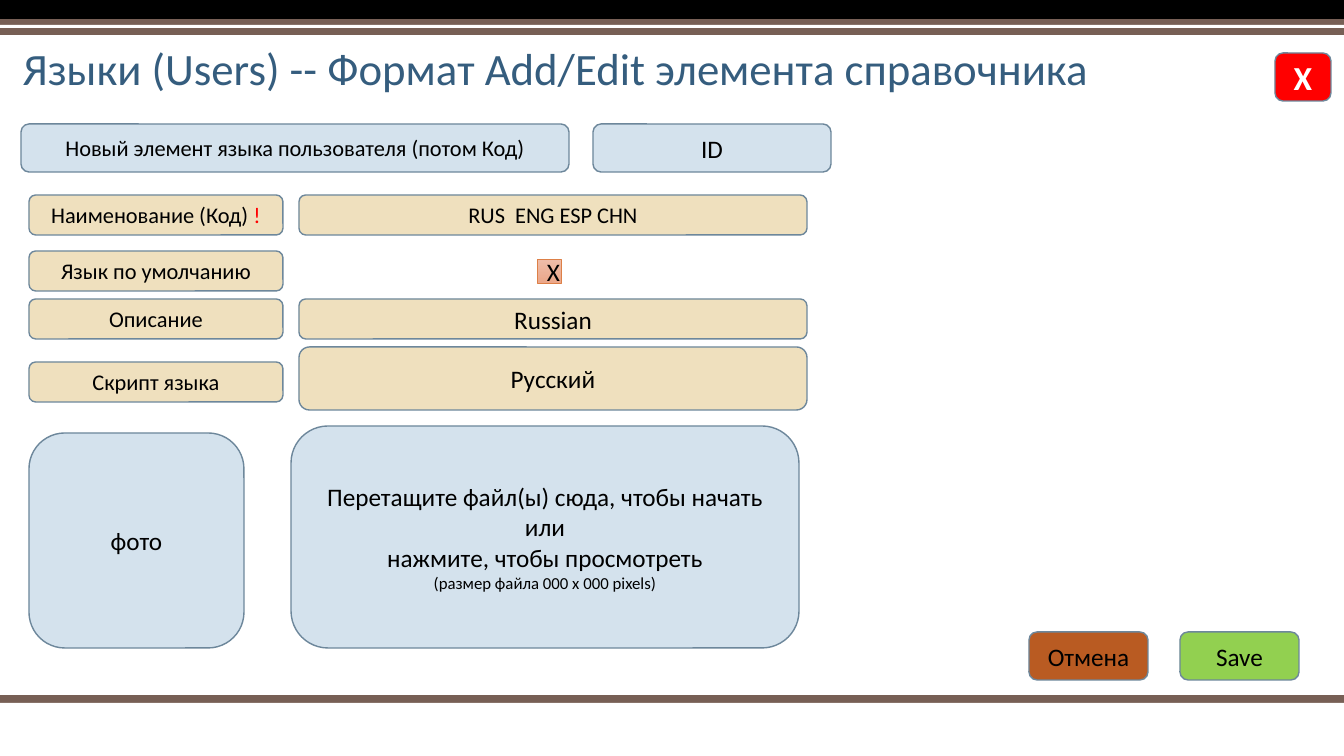
"""Build the slide with the add/edit form of the user languages directory."""
from pptx import Presentation
from pptx import util as u
from pptx.dml.color import RGBColor
from pptx.enum import shapes, text

PX = 12192000 / 1344
C = {"brown": "775F55", "white": "FFFFFF", "black": "000000", "title": "355D7E",
     "blue": "D4E2ED", "sand": "EFE0BE", "edge": "6D879B", "red": "FF0000",
     "rust": "B95B22", "green": "92D050", "check_top": "EEBEAA",
     "check_bottom": "EBA78A", "check_edge": "DD8047"}
RECT, ROUND = shapes.MSO_SHAPE.RECTANGLE, shapes.MSO_SHAPE.ROUNDED_RECTANGLE


def add_box(kind, at, fill, edge=None, weight=1):
    sp = s.shapes.add_shape(kind, *(round(v * PX) for v in at))
    sp.shadow.inherit = False
    sp.fill.solid()
    sp.fill.fore_color.rgb = RGBColor.from_string(C[fill])
    if edge:
        sp.line.color.rgb = RGBColor.from_string(C[edge])
        sp.line.width = u.Pt(weight)
    else:
        sp.line.fill.background()
    return sp


def write(sp, paragraphs, anchor=text.MSO_ANCHOR.MIDDLE, align=text.PP_ALIGN.CENTER):
    tf = sp.text_frame
    tf.word_wrap = True
    tf.vertical_anchor = anchor
    for i, runs in enumerate(paragraphs):
        p = tf.add_paragraph() if i else tf.paragraphs[0]
        p.alignment = align
        for words, size, color, bold in runs:
            r = p.add_run()
            r.text = words
            for name, value in {"name": "Calibri", "size": u.Pt(size), "bold": bold}.items():
                setattr(r.font, name, value)
            r.font.color.rgb = RGBColor.from_string(C[color])


prs = Presentation()
prs.slide_width, prs.slide_height = round(1344 * PX), round(756 * PX)
s = prs.slides.add_slide(prs.slide_layouts[6])

for top, height, fill in [(695, 11, "brown"), (703, 3, "white"), (0, 19, "black"),
                          (19, 16, "brown"), (25, 3, "white")]:
    add_box(RECT, (0, top, 1344, height), fill)

title = s.shapes.add_textbox(*(round(v * PX) for v in (13, 36, 1163, 64)))
write(title, [[("Языки (Users) -- Формат Add/Edit элемента справочника", 32, "title", False)]],
      text.MSO_ANCHOR.BOTTOM, text.PP_ALIGN.LEFT)
title.text_frame.paragraphs[0].line_spacing = 0.9

buttons = [
    ((593, 124, 238, 48), "blue", "ID", 18),
    ((21, 124, 548, 48), "blue", "Новый элемент языка пользователя (потом Код)", 16),
    ((299, 195, 508, 40), "sand", "RUS  ENG ESP CHN", 16),
    ((29, 251, 254, 40), "sand", "Язык по умолчанию", 16),
    ((29, 299, 254, 40), "sand", "Описание", 16),
    ((299, 299, 508, 40), "sand", "Russian", 18),
    ((29, 362, 254, 40), "sand", "Скрипт языка", 16),
    ((299, 347, 508, 63), "sand", "Русский", 18),
    ((29, 433, 215, 215), "blue", "фото", 18),
    ((1029, 632, 119, 48), "rust", "Отмена", 18),
    ((1180, 632, 119, 48), "green", "Save", 18),
]
for at, fill, words, size in buttons:
    write(add_box(ROUND, at, fill, "edge"), [[(words, size, "black", False)]])

write(add_box(ROUND, (29, 195, 254, 40), "sand", "edge"),
      [[("Наименование (Код) ", 16, "black", False), ("!", 16, "red", False)]])
write(add_box(ROUND, (1275, 53, 56, 48), "red", "edge"), [[("Х", 24, "white", True)]])
write(add_box(ROUND, (291, 426, 508, 222), "blue", "edge"), [
    [("Перетащите файл(ы) сюда, чтобы начать или", 18, "black", False)],
    [("нажмите, чтобы просмотреть", 18, "black", False)],
    [("(размер файла 000 x 000 pixels)", 12, "black", False)],
])

check = add_box(RECT, (537, 259, 24, 24), "check_top", "check_edge", 0.5)
check.fill.gradient()
check.fill.gradient_angle = 270
for stop, color in zip(check.fill.gradient_stops, ("check_top", "check_bottom")):
    stop.color.rgb = RGBColor.from_string(C[color])
write(check, [[("X", 18, "black", False)]])

prs.save("out.pptx")
